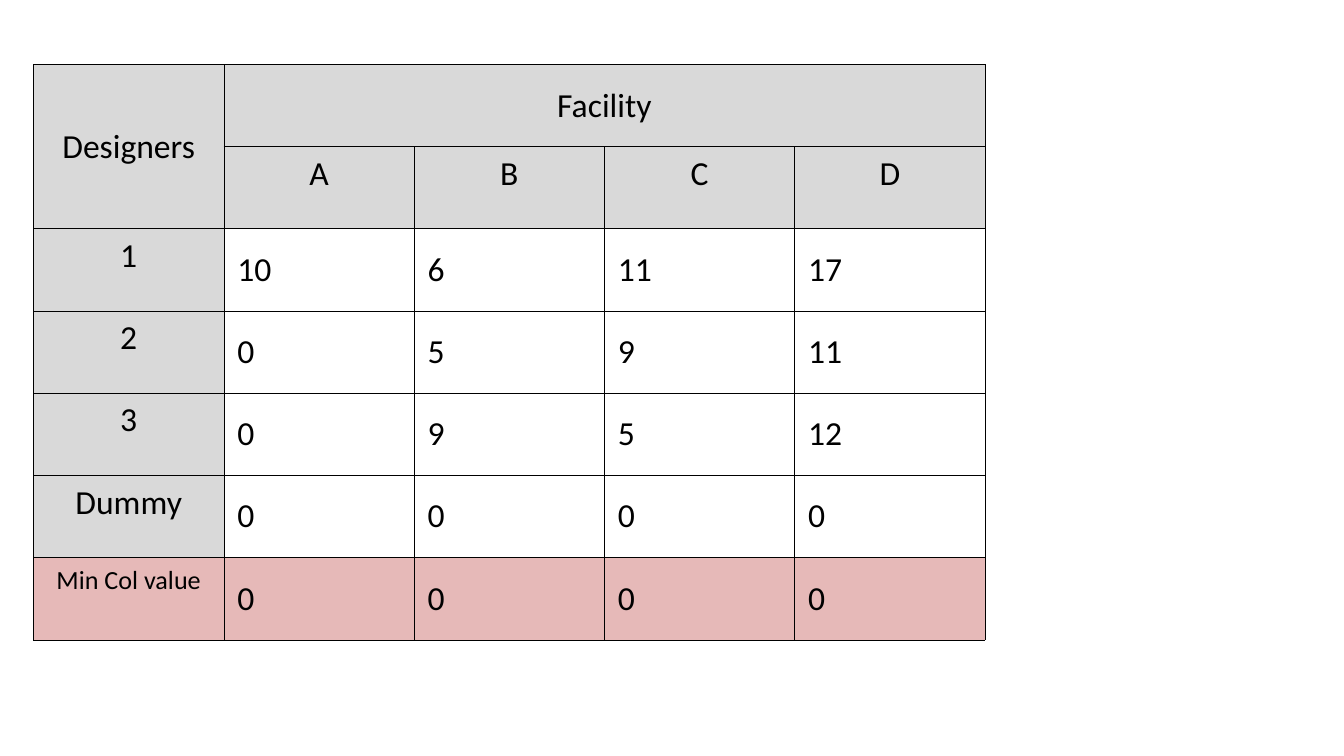
from dataclasses import dataclass

from lxml.etree import SubElement
from pptx import Presentation
from pptx.dml.color import RGBColor
from pptx.enum.text import MSO_ANCHOR, PP_ALIGN
from pptx.oxml.ns import qn
from pptx.util import Inches, Pt

GREY, PINK, BLACK = "D9D9D9", "E6B9B8", "000000"
LEFT, TOP = 0.25, 0.48
COL_W, ROW_H = 7.08 / 5, 3.67 / 6


@dataclass
class Grid:
    first_row: int  # grid row at which the table starts
    rows: list[list[str]]
    header_rows: int = 0
    label_fill: str = GREY
    label_size: int = 18
    value_fill: str | None = None


COSTS = Grid(0, [
    ["Designers", "Facility", "", "", ""],
    ["", "A", "B", "C", "D"],
    ["1", "10", "6", "11", "17"],
    ["2", "0", "5", "9", "11"],
    ["3", "0", "9", "5", "12"],
    ["Dummy", "0", "0", "0", "0"],
], header_rows=2)
MINIMA = Grid(6, [["Min Col value", "0", "0", "0", "0"]],
              label_fill=PINK, label_size=14, value_fill=PINK)


def rgb(color: str) -> RGBColor:
    return RGBColor.from_string(color)


def add_borders(cell, color: str = BLACK, width: float = 0.45) -> None:
    tc_pr = cell._tc.get_or_add_tcPr()
    for side in ("lnL", "lnR", "lnT", "lnB"):
        ln = SubElement(tc_pr, qn(f"a:{side}"), w=str(Pt(width)))
        fill = SubElement(ln, qn("a:solidFill"))
        SubElement(fill, qn("a:srgbClr"), val=color)


def format_cell(cell, text: str, *, size: int = 18, fill: str | None = None,
                align=PP_ALIGN.LEFT, anchor=MSO_ANCHOR.MIDDLE) -> None:
    add_borders(cell)
    if fill:
        cell.fill.solid()
        cell.fill.fore_color.rgb = rgb(fill)
    else:
        cell.fill.background()
    cell.vertical_anchor = anchor
    p = cell.text_frame.paragraphs[0]
    p.alignment = align
    if text:
        r = p.add_run()
        r.text = text
        r.font.name, r.font.size = "Calibri", Pt(size)
        r.font.color.rgb = rgb(BLACK)


def add_grid(s, grid: Grid):
    n_rows, n_cols = len(grid.rows), len(grid.rows[0])
    tbl = s.shapes.add_table(
        n_rows, n_cols, Inches(LEFT), Inches(TOP + grid.first_row * ROW_H),
        Inches(n_cols * COL_W), Inches(n_rows * ROW_H)).table
    tbl.first_row = tbl.horz_banding = False
    for i, row in enumerate(grid.rows):
        for j, text in enumerate(row):
            if j == 0 or i < grid.header_rows:
                format_cell(tbl.cell(i, j), text, size=grid.label_size,
                            fill=grid.label_fill, align=PP_ALIGN.CENTER,
                            anchor=MSO_ANCHOR.TOP)
            else:
                format_cell(tbl.cell(i, j), text, fill=grid.value_fill)
    return tbl


def main() -> None:
    # Widescreen slide, 16:9
    prs = Presentation()
    prs.slide_width = Inches(10)
    prs.slide_height = prs.slide_width * 9 // 16
    s = prs.slides.add_slide(prs.slide_layouts[6])

    # Cost matrix with its merged headings
    tbl = add_grid(s, COSTS)
    for start, end in (((0, 0), (1, 0)), ((0, 1), (0, 4))):
        tbl.cell(*start).merge(tbl.cell(*end))
        tbl.cell(*start).vertical_anchor = MSO_ANCHOR.MIDDLE

    # Column minima
    add_grid(s, MINIMA)
    prs.save("out.pptx")


if __name__ == "__main__":
    main()
